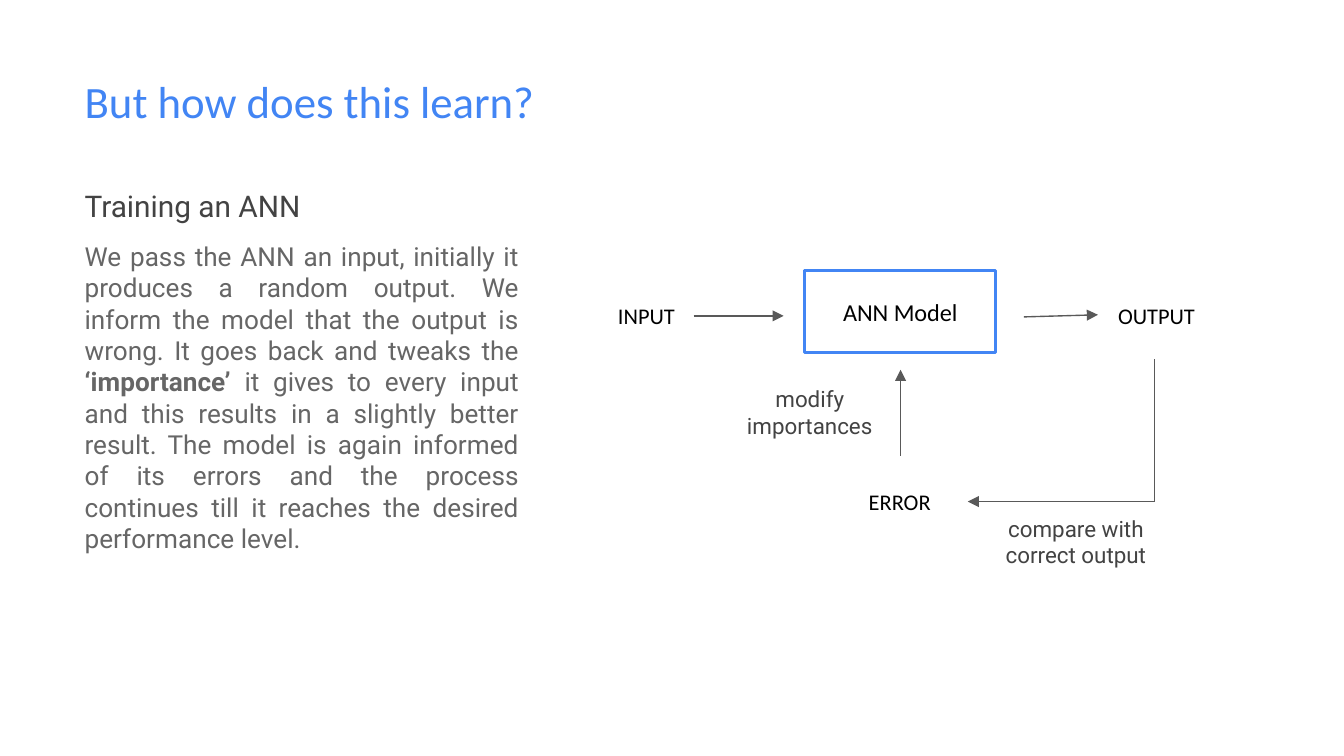
from dataclasses import dataclass

from lxml import etree
from pptx import Presentation
from pptx import util as u
from pptx.dml.color import RGBColor as Rgb
from pptx.enum import shapes, text
from pptx.oxml import ns

Cm = u.Cm
AL = text.PP_ALIGN


@dataclass(frozen=True)
class Style:
    size: float
    font: str
    hue: str


class Theme:
    blue = "4285F4"
    white = "FFFFFF"
    wire = "595959"
    thin = u.Pt(0.75)
    thick = u.Pt(1.5)
    pad = Cm(0.25)
    title = Style(24, "Calibri", blue)
    head = Style(16, "Roboto", "434343")
    body = Style(14, "Roboto", "666666")
    model = Style(13, "Calibri", "000000")
    node = Style(12, "Calibri", "000000")
    note = Style(12, "Roboto", "434343")


def write(shape, runs, style, align=AL.LEFT, anchor=text.MSO_ANCHOR.TOP):
    """Fill a shape with one paragraph of (words, bold) runs."""
    frame = shape.text_frame
    frame.word_wrap = True
    frame.auto_size = text.MSO_AUTO_SIZE.NONE
    frame.vertical_anchor = anchor
    frame.margin_left = frame.margin_right = Theme.pad
    frame.margin_top = frame.margin_bottom = Theme.pad
    para = frame.paragraphs[0]
    para.alignment = align
    for words, bold in runs:
        run = para.add_run()
        run.text = words
        run.font.size = u.Pt(style.size)
        run.font.name = style.font
        run.font.bold = bold
        run.font.color.rgb = Rgb.from_string(style.hue)


def label(slide, box, runs, style, align=AL.LEFT):
    shape = slide.shapes.add_textbox(*map(Cm, box))
    write(shape, runs, style, align)


def wire(slide, start, end, tip=True):
    """Draw a thin line, with an arrowhead at its end if tip is set."""
    line = slide.shapes.add_connector(
        shapes.MSO_CONNECTOR.STRAIGHT, *map(Cm, start + end))
    line.line.color.rgb = Rgb.from_string(Theme.wire)
    line.line.width = Theme.thin
    if tip:
        etree.SubElement(line.line._get_or_add_ln(), ns.qn("a:tailEnd"),
                         type="triangle")
    etree.SubElement(line._element.spPr, ns.qn("a:effectLst"))


def title(slide, box):
    shape = slide.shapes.title
    shape.left, shape.top, shape.width, shape.height = map(Cm, box)
    write(shape, [("But how does this learn?", False)], Theme.title)


def story(slide, box):
    """Place the heading and the justified text below it."""
    left, top, wide, high = box
    drop = 0.99
    label(slide, (left, top, 4.83, 1.19), [("Training an ANN", False)],
          Theme.head)
    label(slide, (left, top + drop, wide, high - drop), [
        ("We pass the ANN an input, initially it produces a random output. "
         "We inform the model that the output is wrong. It goes back and "
         "tweaks the ", False),
        ("‘importance’", True),
        (" it gives to every input and this results in a slightly better "
         "result. The model is again informed of its errors and the process "
         "continues till it reaches the desired performance level.", False),
    ], Theme.body, AL.JUSTIFY)


def model(slide, box):
    shape = slide.shapes.add_shape(shapes.MSO_SHAPE.RECTANGLE, *map(Cm, box))
    shape.shadow.inherit = False
    shape.fill.solid()
    shape.fill.fore_color.rgb = Rgb.from_string(Theme.white)
    shape.line.color.rgb = Rgb.from_string(Theme.blue)
    shape.line.width = Theme.thick
    write(shape, [("ANN Model", False)], Theme.model, AL.CENTER,
          text.MSO_ANCHOR.MIDDLE)


def loop(slide, box):
    """Draw the training loop from input to output and back by the error."""
    left, top, wide, high = box

    def at(x, y):
        return left + x, top + y

    model(slide, (*at(3.78, 0), 3.61, 1.55))

    mid, back = 5.59, 4.37
    turn = (10.39, back)
    wire(slide, at(1.68, 0.86), at(3.38, 0.86))
    wire(slide, at(7.92, 0.88), at(9.32, 0.84))
    wire(slide, at(*turn), at(10.39, 1.67), tip=False)
    wire(slide, at(*turn), at(6.86, back))
    wire(slide, at(mid, 3.5), at(mid, 1.88))

    node, note = Theme.node, Theme.note
    for x, y, w, h, words, style, align in (
        (0, 0.36, 1.93, 1.02, "INPUT", node, AL.LEFT),
        (wide - 2.57, 0.36, 2.57, 1.02, "OUTPUT", node, AL.LEFT),
        (4.29, 3.86, 2.57, 1.02, "ERROR", node, AL.CENTER),
        (6.86, high - 1.55, 4.09, 1.55, "compare with correct output", note,
         AL.CENTER),
        (2.11, 1.93, 3.53, 1.55, "modify importances", note, AL.CENTER),
    ):
        label(slide, (*at(x, y), w, h), [(words, False)], style, align)


def main():
    deck = Presentation()
    deck.slide_width, deck.slide_height = Cm(25.4), Cm(14.29)
    slide = deck.slides.add_slide(deck.slide_layouts[5])
    title(slide, (1.35, 1.14, 11.96, 1.55))
    story(slide, (1.35, 3.3, 8.71, 7.49))
    loop(slide, (11.43, 5.11, 12.02, 5.92))
    deck.save("out.pptx")


if __name__ == "__main__":
    main()
